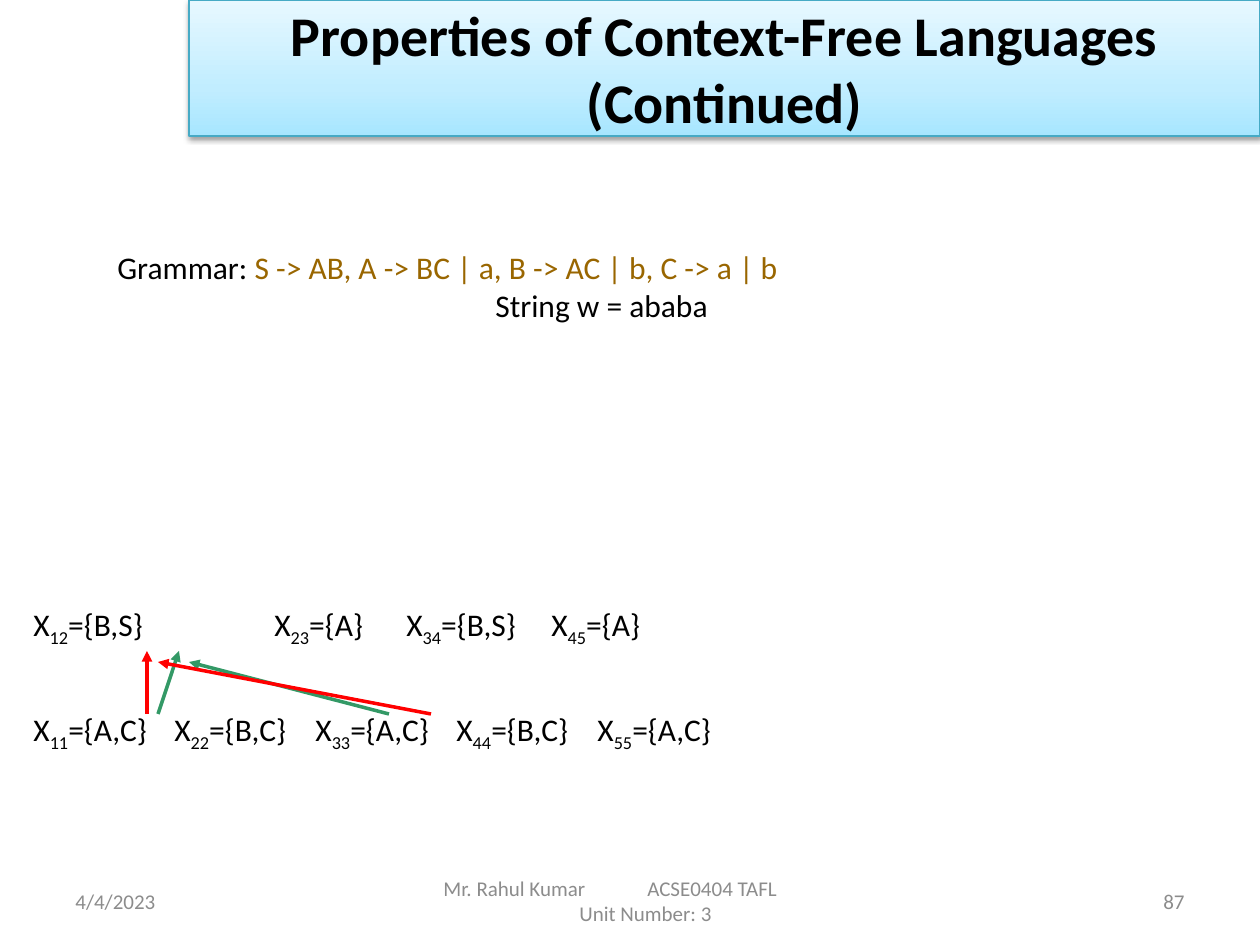
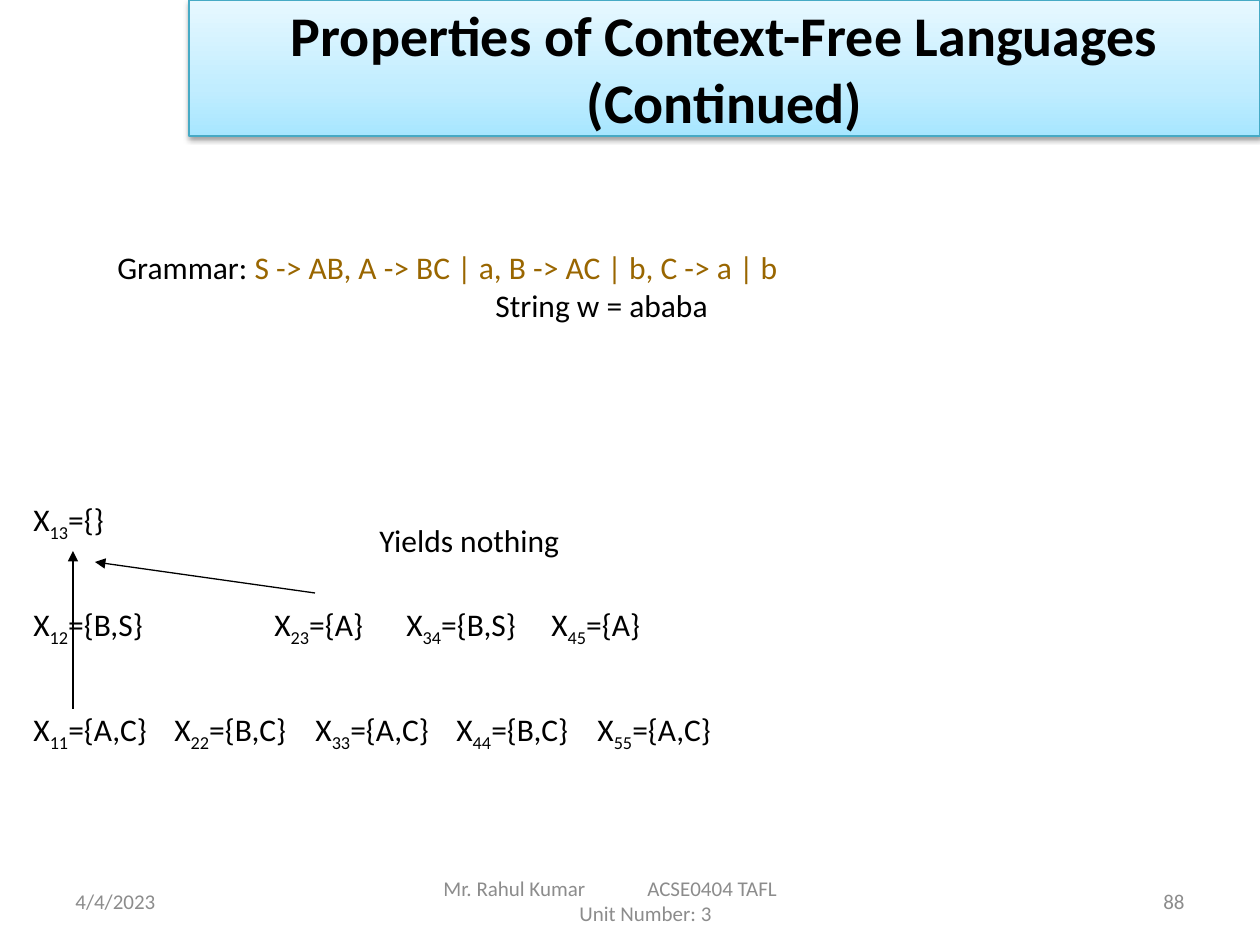
from lxml import etree
from pptx import Presentation
from pptx.dml.color import RGBColor
from pptx.enum.shapes import MSO_CONNECTOR, MSO_SHAPE
from pptx.enum.text import MSO_ANCHOR, PP_ALIGN
from pptx.oxml.ns import qn
from pptx.util import Pt

RECTANGLE = MSO_SHAPE.RECTANGLE
STRAIGHT = MSO_CONNECTOR.STRAIGHT
TOP, MIDDLE = MSO_ANCHOR.TOP, MSO_ANCHOR.MIDDLE
LEFT, CENTER, RIGHT = PP_ALIGN.LEFT, PP_ALIGN.CENTER, PP_ALIGN.RIGHT

EMU_PER_PX = 914400 / 126
FONT = "Calibri"
BLACK = RGBColor(0x00, 0x00, 0x00)
GRAY = RGBColor(0x8C, 0x8C, 0x8C)
BROWN = RGBColor(0x99, 0x66, 0x00)
GREEN = RGBColor(0x33, 0x99, 0x66)
RED = RGBColor(0xFF, 0x00, 0x00)
BAND_EDGE = RGBColor(0x46, 0xAA, 0xC5)
BAND_STOPS = [
    (0, RGBColor(0xA7, 0xE6, 0xFF)),
    (35, RGBColor(0xC1, 0xED, 0xFF)),
    (100, RGBColor(0xE7, 0xF8, 0xFF)),
]

# Table rows: level 0 is the bottom row, each level is one row higher
BOTTOM_ROW, ROW_STEP, ROW_HEIGHT = 704, 105, 63
ROW_LEFT = 21


def px(length):
    return round(length * EMU_PER_PX)


def child(parent, tag, **attributes):
    element = etree.SubElement(parent, qn(tag))
    for name, value in attributes.items():
        element.set(name, str(value))
    return element


def add_run(paragraph, text, size=18, color=BLACK, bold=False, subscript=False):
    run = paragraph.add_run()
    run.text = text
    run.font.name = FONT
    run.font.size = Pt(size)
    run.font.color.rgb = color
    run.font.bold = bold
    if subscript:
        run.font._element.set("baseline", "-25000")


def set_tabs(paragraph, stops):
    tab_list = child(paragraph._p.get_or_add_pPr(), "a:tabLst")
    for stop in stops:
        child(tab_list, "a:tab", pos=px(stop), algn="l")


def set_indent(paragraph, indent):
    properties = paragraph._p.get_or_add_pPr()
    properties.set("marL", str(px(indent)))
    properties.set("indent", "0")


class Deck:
    def __init__(self):
        self.presentation = Presentation()
        self.presentation.slide_width = px(1260)
        self.presentation.slide_height = px(945)
        self.slide = None

    def new_slide(self, number):
        blank = self.presentation.slide_layouts[6]
        self.slide = self.presentation.slides.add_slide(blank)
        self.title_band("Properties of Context-Free Languages (Continued)")
        self.footer("4/4/2023", number)

    def text_box(self, left, top, width, height, anchor=TOP):
        frame = self.slide.shapes.add_textbox(
            px(left), px(top), px(width), px(height)).text_frame
        frame.word_wrap = True
        frame.vertical_anchor = anchor
        return frame

    def label(self, text, left, top, width, height, align=LEFT, anchor=TOP, **style):
        paragraph = self.text_box(left, top, width, height, anchor).paragraphs[0]
        paragraph.alignment = align
        add_run(paragraph, text, **style)

    def title_band(self, title):
        band = self.slide.shapes.add_shape(RECTANGLE, px(189), 0, px(1071), px(136))
        band.line.color.rgb = BAND_EDGE
        band.line.width = Pt(0.75)

        # Light at the top, darker at the bottom
        band.fill.gradient()
        band.fill.gradient_angle = 90
        stops = band._element.spPr.find(".//" + qn("a:gsLst"))
        stops.clear()
        for percent, color in BAND_STOPS:
            stop = child(stops, "a:gs", pos=percent * 1000)
            child(stop, "a:srgbClr", val=color)

        # Soft shadow below
        band.shadow.inherit = False
        effects = band._element.spPr.find(qn("a:effectLst"))
        shadow = child(effects, "a:outerShdw", blurRad=Pt(3.1), dist=Pt(1.6),
                       dir=5400000, rotWithShape=0)
        child(child(shadow, "a:srgbClr", val=BLACK), "a:alpha", val=38000)

        frame = band.text_frame
        frame.word_wrap = True
        frame.vertical_anchor = MIDDLE
        frame.paragraphs[0].alignment = CENTER
        add_run(frame.paragraphs[0], title, size=32, bold=True)

    def footer(self, date, number):
        style = {"size": 12, "color": GRAY}
        top, height = 876, 50
        self.label(date, 63, top, 294, height, anchor=MIDDLE, **style)
        self.label(str(number), 903, top, 294, height, align=RIGHT, anchor=MIDDLE, **style)

        frame = self.text_box(431, top, 399, height, MIDDLE)
        course, unit = frame.paragraphs[0], frame.add_paragraph()
        set_tabs(course, [204])
        add_run(course, "Mr. Rahul Kumar\tACSE0404 TAFL", **style)
        set_indent(unit, 136)
        add_run(unit, "Unit Number: 3", **style)

    def grammar(self, rules, word):
        frame = self.text_box(105, 242, 1058, 113)
        rule_line, word_line = frame.paragraphs[0], frame.add_paragraph()
        add_run(rule_line, "Grammar: ")
        add_run(rule_line, rules, color=BROWN)
        set_indent(word_line, 378)
        add_run(word_line, f"String w = {word}")

    def cells(self, level, entries, left=ROW_LEFT, width=212, tabs=()):
        top = BOTTOM_ROW - level * ROW_STEP
        paragraph = self.text_box(left, top, width, ROW_HEIGHT).paragraphs[0]
        set_tabs(paragraph, tabs)
        for position, (index, symbols) in enumerate(entries):
            add_run(paragraph, "\tX" if position else "X")
            add_run(paragraph, index, subscript=True)
            add_run(paragraph, f"={{{symbols}}}")

    def lower_rows(self):
        diagonal = [("11", "A,C"), ("22", "B,C"), ("33", "A,C"),
                    ("44", "B,C"), ("55", "A,C")]
        self.cells(0, diagonal, width=1178, tabs=[141 * i for i in range(1, 5)])
        self.cells(1, [("12", "B,S")])
        self.cells(1, [("23", "A"), ("34", "B,S"), ("45", "A")],
                   left=262, width=658, tabs=[132, 277])

    def arrow(self, start, end, color=BLACK, width=0.75):
        arrow = self.slide.shapes.add_connector(
            STRAIGHT, *(px(length) for length in (*start, *end)))
        arrow.line.color.rgb = color
        arrow.line.width = Pt(width)
        child(arrow.line._get_or_add_ln(), "a:tailEnd", type="triangle")
        child(arrow._element.spPr, "a:effectLst")


def main():
    deck = Deck()
    rules = "S -> AB, A -> BC | a, B -> AC | b, C -> a | b"

    # Second row of the table
    deck.new_slide(87)
    deck.grammar(rules, "ababa")
    deck.lower_rows()
    for start, end, color in [
        ((158, 714), (179, 651), GREEN),
        ((389, 714), (189, 662), GREEN),
        ((147, 714), (147, 651), RED),
        ((431, 714), (158, 662), RED),
    ]:
        deck.arrow(start, end, color, width=2)

    # Third row of the table
    deck.new_slide(88)
    deck.grammar(rules, "ababa")
    deck.lower_rows()
    deck.cells(2, [("13", "")], width=151)
    deck.arrow((73, 709), (73, 551))
    deck.arrow((315, 593), (95, 562))
    deck.label("Yields nothing", 367, 515, 286, ROW_HEIGHT)

    deck.presentation.save("out.pptx")


if __name__ == "__main__":
    main()
